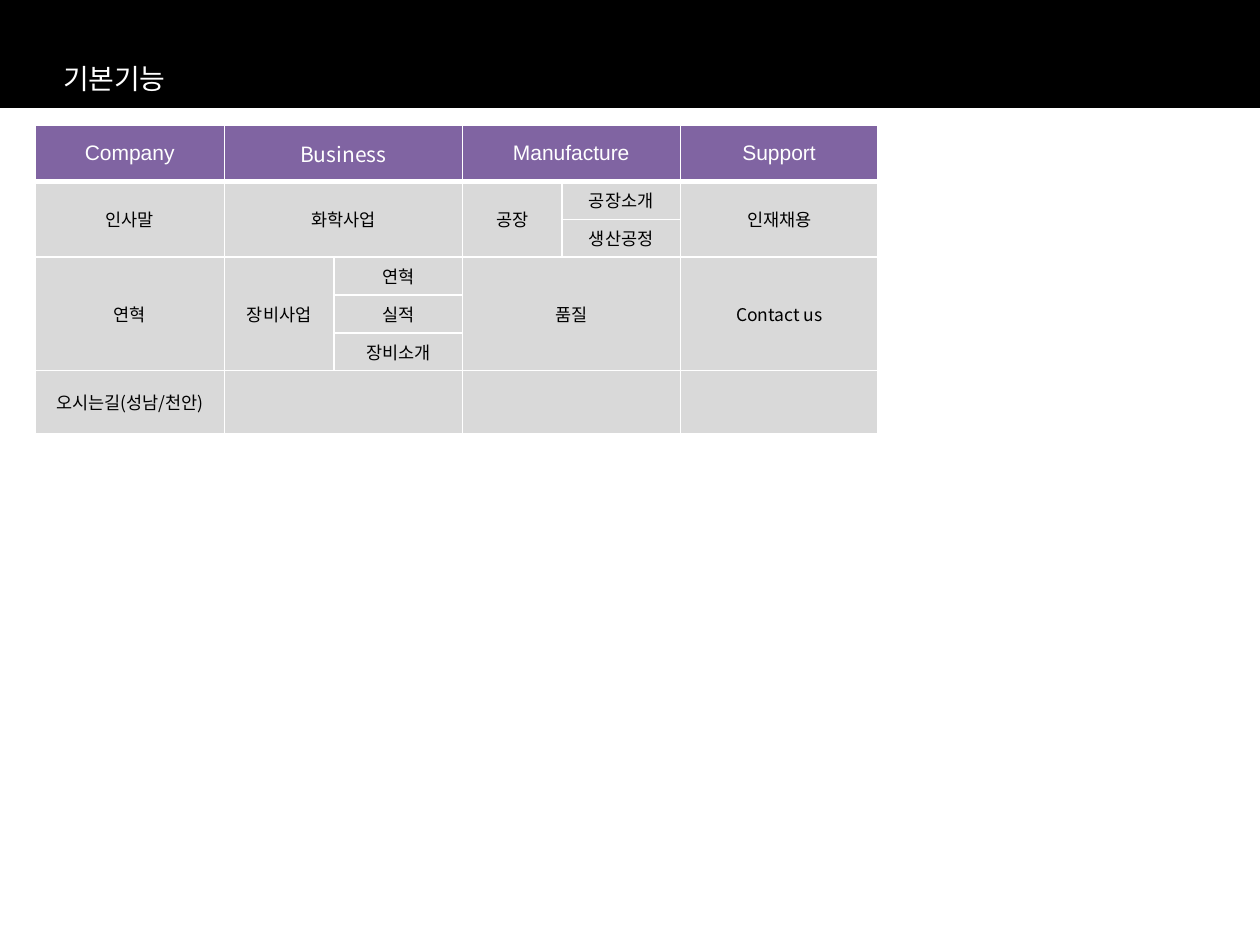
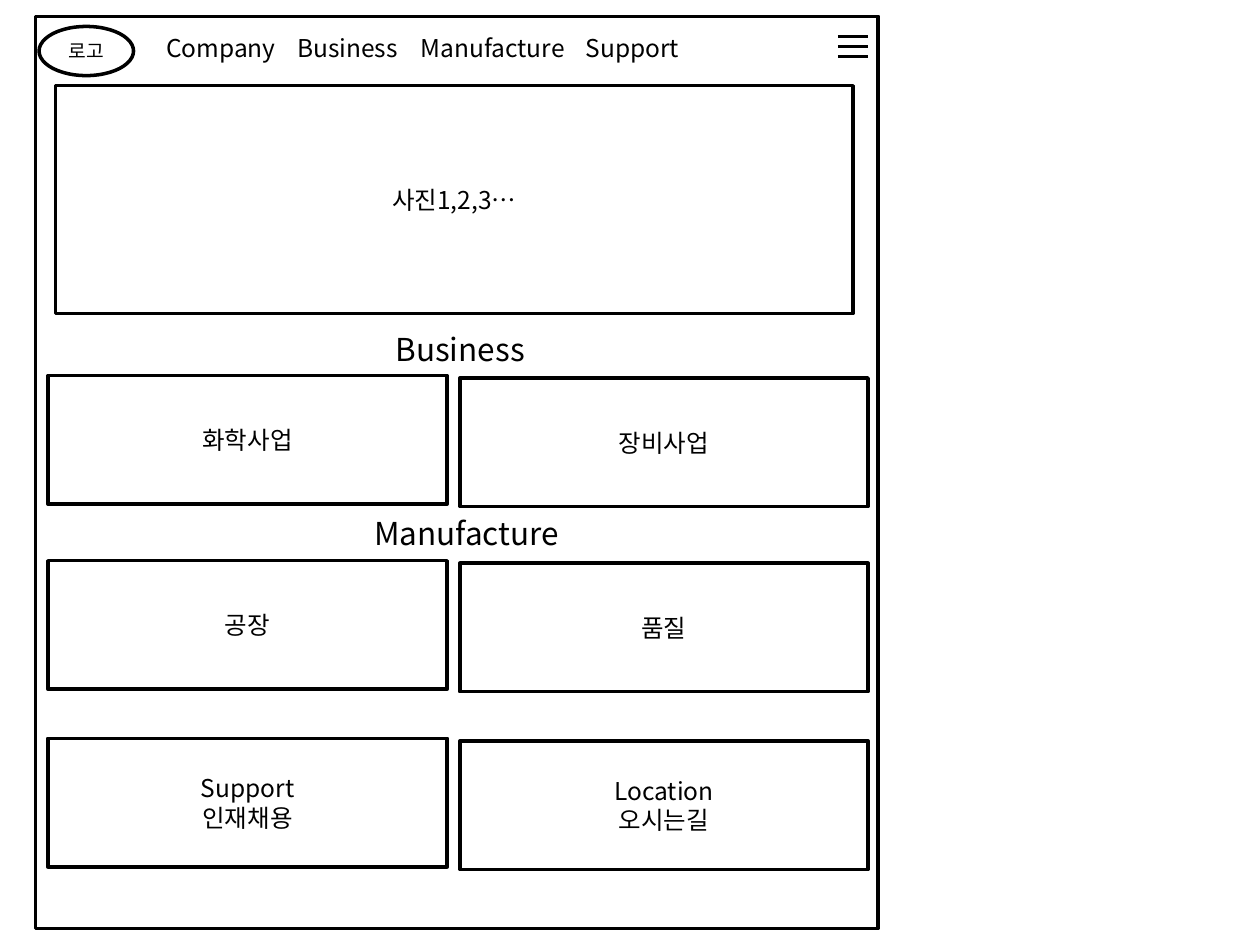
from lxml import etree
from pptx import Presentation
from pptx.dml.color import RGBColor
from pptx.enum.shapes import MSO_CONNECTOR, MSO_SHAPE
from pptx.enum.text import MSO_ANCHOR, MSO_AUTO_SIZE, PP_ALIGN
from pptx.oxml.ns import qn
from pptx.util import Inches, Pt

RECTANGLE, ELLIPSE = MSO_SHAPE.RECTANGLE, MSO_SHAPE.OVAL
STRAIGHT = MSO_CONNECTOR.STRAIGHT
LEFT, CENTER = PP_ALIGN.LEFT, PP_ALIGN.CENTER
TOP, MIDDLE = MSO_ANCHOR.TOP, MSO_ANCHOR.MIDDLE
NO_AUTOFIT = MSO_AUTO_SIZE.NONE

BLACK = RGBColor(0x00, 0x00, 0x00)
WHITE = RGBColor(0xFF, 0xFF, 0xFF)
PURPLE = RGBColor(0x80, 0x64, 0xA2)
GRAY = RGBColor(0xD9, 0xD9, 0xD9)
KOREAN_FONT = "Noto Sans CJK KR"
LATIN_FONT = "Arial"


def write(frame, text, size, color=BLACK, align=CENTER, font=KOREAN_FONT):
    frame.text = text
    for paragraph in frame.paragraphs:
        paragraph.alignment = align
        paragraph.font.name = font
        paragraph.font.size = Pt(size)
        paragraph.font.bold = False
        paragraph.font.color.rgb = color
        defaults = paragraph._p.pPr.find(qn("a:defRPr"))
        etree.SubElement(defaults, qn("a:ea"), typeface=KOREAN_FONT)


def add_box(page, kind, left, top, width, height, fill=WHITE, line_width=2):
    box = page.shapes.add_shape(kind, Inches(left), Inches(top), Inches(width), Inches(height))
    box.shadow.inherit = False
    if fill is None:
        box.fill.background()
    else:
        box.fill.solid()
        box.fill.fore_color.rgb = fill
    box.line.color.rgb = BLACK
    box.line.width = Pt(line_width)
    box.text_frame.word_wrap = True
    box.text_frame.vertical_anchor = MIDDLE
    return box


deck = Presentation()
deck.slide_width, deck.slide_height = Inches(10), Inches(7.5)
title_only, blank = deck.slide_layouts[5], deck.slide_layouts[6]

page = deck.slides.add_slide(title_only)

column_widths = [1.5, 0.87, 1.02, 0.79, 0.94, 1.57]
row_heights = [0.45] + [0.3] * 5 + [0.5]
menu_table = page.shapes.add_table(
    len(row_heights), len(column_widths), Inches(0.28), Inches(0.99),
    Inches(sum(column_widths)), Inches(sum(row_heights))).table
menu_table.first_row = False
menu_table.horz_banding = False
for column, width in zip(menu_table.columns, column_widths):
    column.width = Inches(width)
for row, height in zip(menu_table.rows, row_heights):
    row.height = Inches(height)

for row_index, row in enumerate(menu_table.rows):
    for cell in row.cells:
        properties = cell._tc.get_or_add_tcPr()
        for side in ("lnL", "lnR", "lnT", "lnB"):
            width = 3 if row_index == 0 and side == "lnB" else 1
            border = etree.SubElement(properties, qn(f"a:{side}"), w=str(Pt(width)))
            border_fill = etree.SubElement(border, qn("a:solidFill"))
            etree.SubElement(border_fill, qn("a:srgbClr"), val=str(WHITE))
        cell.fill.solid()
        cell.fill.fore_color.rgb = GRAY if row_index else PURPLE
        cell.vertical_anchor = MIDDLE

headers = [(0, "Company", LATIN_FONT), (1, "Business", KOREAN_FONT),
           (3, "Manufacture", LATIN_FONT), (5, "Support", LATIN_FONT)]
for column, text, font in headers:
    write(menu_table.cell(0, column).text_frame, text, 12, WHITE, font=font)

entries = [
    (1, 0, "인사말"), (1, 1, "화학사업"), (1, 3, "공장"), (1, 4, "공장소개"),
    (1, 5, "인재채용"), (2, 4, "생산공정"),
    (3, 0, "연혁"), (3, 1, "장비사업"), (3, 2, "연혁"), (3, 3, "품질"),
    (3, 5, "Contact us"), (4, 2, "실적"), (5, 2, "장비소개"),
    (6, 0, "오시는길(성남/천안)"),
]
for row, column, text in entries:
    write(menu_table.cell(row, column).text_frame, text, 10)

merges = [
    (0, 1, 0, 2), (0, 3, 0, 4),
    (1, 0, 2, 0), (1, 1, 2, 2), (1, 3, 2, 3), (1, 5, 2, 5),
    (3, 0, 5, 0), (3, 1, 5, 1), (3, 3, 5, 4), (3, 5, 5, 5),
    (6, 1, 6, 2), (6, 3, 6, 4),
]
for first_row, first_column, last_row, last_column in merges:
    menu_table.cell(first_row, first_column).merge(menu_table.cell(last_row, last_column))

add_box(page, RECTANGLE, 0, 0, 10, 0.85, BLACK, 0.75)

title = page.shapes.title
title.left, title.top, title.width, title.height = (
    Inches(0.4), Inches(0.44), Inches(1.1), Inches(0.37))
title.text_frame.word_wrap = False
title.text_frame.auto_size = NO_AUTOFIT
title.text_frame.vertical_anchor = TOP
write(title.text_frame, "기본기능", 16, WHITE, LEFT)
page.shapes._spTree.append(title._element)

page = deck.slides.add_slide(blank)
add_box(page, RECTANGLE, 0.28, 0.13, 6.69, 7.24)
logo = add_box(page, ELLIPSE, 0.31, 0.21, 0.75, 0.39, None)
write(logo.text_frame, "로고", 11)

labels = [
    (1.22, 0.21, 5.4, 0.34, "Company\tBusiness\tManufacture\tSupport", 14),
    (3.04, 2.57, 1.25, 0.4, "Business", 18),
    (2.87, 4.03, 1.75, 0.4, "Manufacture", 18),
]
for left, top, width, height, text, size in labels:
    label = page.shapes.add_textbox(Inches(left), Inches(top), Inches(width), Inches(height))
    label.text_frame.word_wrap = True
    write(label.text_frame, text, size, align=LEFT)
    if "\t" in text:
        tabs = etree.Element(qn("a:tabLst"))
        for position in (1.04, 2.02, 3.33):
            etree.SubElement(tabs, qn("a:tab"), pos=str(Inches(position)), algn="l")
        label.text_frame.paragraphs[0]._p.pPr.insert(0, tabs)

for bar in range(3):
    bar_top = Inches(0.29 + 0.08 * bar)
    menu_bar = page.shapes.add_connector(STRAIGHT, Inches(6.65), bar_top, Inches(6.89), bar_top)
    menu_bar.line.color.rgb = BLACK
    menu_bar.line.width = Pt(1.5)
    etree.SubElement(menu_bar._element.spPr, qn("a:effectLst"))

photo = add_box(page, RECTANGLE, 0.44, 0.68, 6.33, 1.81)
write(photo.text_frame, "사진1,2,3…", 14)

card_rows = [
    (2.98, "화학사업", "장비사업"),
    (4.45, "공장", "품질"),
    (5.86, "Support\n인재채용", "Location\n오시는길"),
]
for top, left_text, right_text in card_rows:
    left_card = add_box(page, RECTANGLE, 0.38, top, 3.17, 1.02)
    write(left_card.text_frame, left_text, 14)
    right_card = add_box(page, RECTANGLE, 3.65, top + 0.02, 3.24, 1.02)
    write(right_card.text_frame, right_text, 14)

deck.save("out.pptx")
